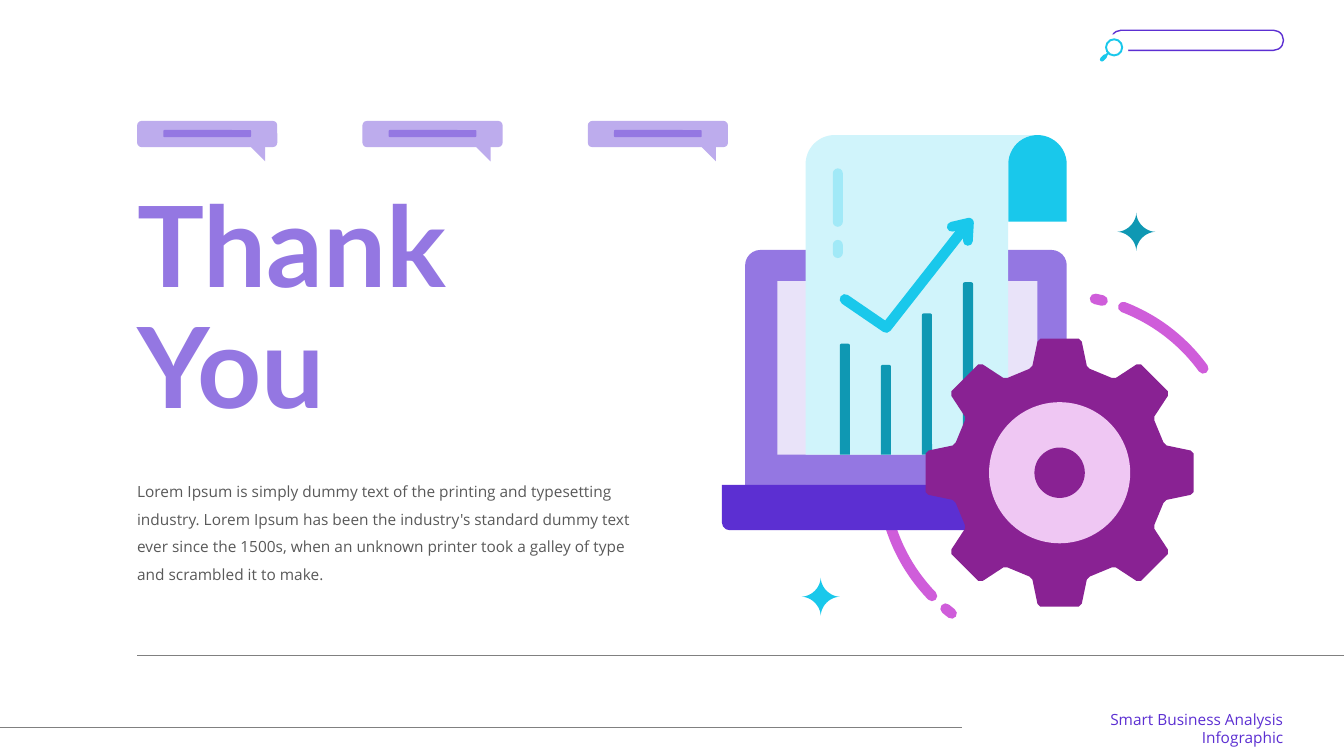
import math

import pptx
import pptx.dml.color
import pptx.enum.shapes
import pptx.enum.text
import pptx.oxml
import pptx.oxml.ns
import pptx.util

Inches = pptx.util.Inches
Pt = pptx.util.Pt
Kind = pptx.enum.shapes.MSO_SHAPE
Align = pptx.enum.text.PP_ALIGN
Anchor = pptx.enum.text.MSO_ANCHOR

VIOLET, INDIGO, LILAC, MIST = "9477E2", "5C2FD2", "BDACED", "E9E3F9"
CYAN, TEAL, ICE, AQUA = "19C8EB", "0F98B3", "D0F4FB", "A1E9F7"
PLUM, PINK, BLUSH = "892293", "CF5DDA", "EFC7F3"
GREY, RULE, WHITE = "595959", "808080", "FFFFFF"
HUB = (10.51, 4.69)


def rgb(color):
    return pptx.dml.color.RGBColor.from_string(color)


def paint(shape, fill=None, line=None, width=1):
    shape.shadow.inherit = False
    if fill:
        shape.fill.solid()
        shape.fill.fore_color.rgb = rgb(fill)
    else:
        shape.fill.background()
    if line:
        shape.line.color.rgb = rgb(line)
        shape.line.width = Pt(width)
    else:
        shape.line.fill.background()


def block(slide, kind, box, fill=None, adj=(), turn=0, line=None):
    shape = slide.shapes.add_shape(kind, *[Inches(v) for v in box])
    for i, value in enumerate(adj):
        shape.adjustments[i] = value
    shape.rotation = turn
    paint(shape, fill, line)
    return shape


def disc(slide, center, radius, fill):
    x, y = center
    block(slide, Kind.OVAL, (x - radius, y - radius, 2 * radius, 2 * radius), fill)


def outline(slide, points, close):
    spots = [(Inches(x), Inches(y)) for x, y in points]
    pen = slide.shapes.build_freeform(*spots[0])
    pen.add_line_segments(spots[1:], close=close)
    return pen.convert_to_shape()


def solid(slide, points, fill):
    paint(outline(slide, points, True), fill)


def stroke(slide, points, color, width):
    """Open line with round ends and corners."""
    shape = outline(slide, points, False)
    paint(shape, None, color, width)
    ln = shape.line._get_or_add_ln()
    ln.set("cap", "rnd")
    ln.append(pptx.oxml.parse_xml("<a:round %s/>" % pptx.oxml.ns.nsdecls("a")))


def arc(center, radius, start, end, steps=24):
    """Points on a circle; angles in degrees, clockwise from the right."""
    angles = [math.radians(start + (end - start) * i / steps) for i in range(steps + 1)]
    return [(center[0] + radius * math.cos(a), center[1] + radius * math.sin(a))
            for a in angles]


def rule(slide, left, right, y):
    line = slide.shapes.add_connector(
        pptx.enum.shapes.MSO_CONNECTOR.STRAIGHT,
        Inches(left), Inches(y), Inches(right), Inches(y))
    line.line.color.rgb = rgb(RULE)
    line.line.width = Pt(0.75)
    line._element.spPr.append(
        pptx.oxml.parse_xml("<a:effectLst %s/>" % pptx.oxml.ns.nsdecls("a")))


def write(shape, text, size, font, color, bold=False, align=Align.LEFT,
          anchor=Anchor.TOP, space=1.0):
    frame = shape.text_frame
    frame.text = text
    frame.word_wrap = True
    frame.auto_size = pptx.enum.text.MSO_AUTO_SIZE.NONE
    frame.vertical_anchor = anchor
    frame.margin_left = frame.margin_right = 0
    frame.margin_top = frame.margin_bottom = 0
    par = frame.paragraphs[0]
    par.alignment = align
    par.line_spacing = space
    par.space_before = Pt(0)
    style = par.runs[0].font
    style.size, style.name, style.bold = Pt(size), font, bold
    style.color.rgb = rgb(color)


def label(slide, box, *args, **style):
    write(slide.shapes.add_textbox(*[Inches(v) for v in box]), *args, **style)


def heading(slide):
    title = slide.shapes.title
    title.left, title.top = Inches(1.36), Inches(1.89)
    title.width, title.height = Inches(4.98), Inches(2.42)
    write(title, "Thank You", 80, "Lato", VIOLET, bold=True, space=0.9)


def bubble(slide, left):
    block(slide, Kind.ROUNDED_RECTANGLE, (left, 1.2, 1.39, 0.26), LILAC, [0.167])
    block(slide, Kind.ROUNDED_RECTANGLE, (left + 0.26, 1.29, 0.87, 0.07), VIOLET, [0.167])
    block(slide, Kind.RIGHT_TRIANGLE, (left + 1.13, 1.46, 0.14, 0.14), LILAC, turn=180)


def sparkle(slide, center, color, radius=0.19):
    def bend(value):
        return math.copysign(abs(value) ** 3.4, value) * radius
    points = [(center[0] + bend(x), center[1] + bend(y))
              for x, y in arc((0, 0), 1, 0, 360, 64)]
    solid(slide, points, color)


def laptop(slide):
    tab = Kind.ROUND_2_SAME_RECTANGLE
    block(slide, tab, (7.39, 2.48, 3.19, 2.34), VIOLET, [0.065, 0])
    block(slide, Kind.RECTANGLE, (7.71, 2.79, 2.58, 1.72), MIST)
    # Paper with its curled edge
    paper = (arc((8.28, 1.63), 0.29, 180, 270) + arc((10.29, 1.63), 0.29, 270, 180)
             + [(10, 4.51), (7.99, 4.51)])
    solid(slide, paper, ICE)
    block(slide, tab, (7.16, 4.81, 3.43, 0.45), INDIGO, [0.167, 0], turn=180)
    block(slide, tab, (10, 1.34, 0.58, 0.86), CYAN, [0.5, 0])
    # Bars and trend arrow
    for i, height in enumerate((1.1, 0.89, 1.4, 1.71)):
        block(slide, tab, (8.33 + 0.407 * i, 4.51 - height, 0.1, height), TEAL, [0.167, 0])
    stroke(slide, [(8.38, 2.97), (8.79, 3.25), (9.59, 2.23)], CYAN, 7.5)
    head = [(9.44, 2.25), (9.61, 2.21), (9.6, 2.39)]
    solid(slide, head, CYAN)
    stroke(slide, head, CYAN, 7)
    # Shine marks
    for top, height in ((1.67, 0.58), (2.38, 0.18)):
        block(slide, Kind.ROUNDED_RECTANGLE, (8.26, top, 0.1, height), AQUA, [0.5])


def gear(slide):
    half = [(0.19, 1.33), (0.22, 1.3), (0.27, 1.06), (0.3, 1.03)]
    tooth = [(-u, r) for u, r in reversed(half)] + half
    points = []
    for i in range(8):
        c, s = math.cos(i * math.pi / 4), math.sin(i * math.pi / 4)
        points += [(HUB[0] + u * c + r * s, HUB[1] + u * s - r * c) for u, r in tooth]
    solid(slide, points, PLUM)
    disc(slide, HUB, 0.7, BLUSH)
    disc(slide, HUB, 0.25, PLUM)


def search(slide):
    block(slide, Kind.ROUNDED_RECTANGLE, (11.02, 0.3, 1.71, 0.2), None, [0.5], line=INDIGO)
    disc(slide, (11.03, 0.5), 0.16, WHITE)
    block(slide, Kind.DONUT, (10.96, 0.38, 0.18, 0.18), CYAN, [0.11])
    stroke(slide, [(10.99, 0.53), (10.96, 0.56)], CYAN, 1.5)
    stroke(slide, [(10.96, 0.56), (10.93, 0.59)], CYAN, 3)


def main():
    deck = pptx.Presentation()
    deck.slide_width, deck.slide_height = Inches(13.33), Inches(7.5)
    slide = deck.slides.add_slide(deck.slide_layouts[5])

    # Wording
    label(slide, (1.36, 4.69, 4.98, 1.08),
          "Lorem Ipsum is simply dummy text of the printing and typesetting industry. "
          "Lorem Ipsum has been the industry's standard dummy text ever since the 1500s, "
          "when an unknown printer took a galley of type and scrambled it to make.",
          11, "Open Sans", GREY, space=1.5)
    heading(slide)

    # Illustration
    for start, end in ((-69, -36), (162, 136), (-78.5, -76), (130, 127.5)):
        stroke(slide, arc(HUB, 1.76, start, end), PINK, 7.5)
    laptop(slide)
    sparkle(slide, (11.27, 2.3), TEAL)
    sparkle(slide, (8.14, 5.92), CYAN)
    gear(slide)

    # Frame of the slide
    label(slide, (10.17, 7.13, 2.56, 0.19), "Smart Business Analysis Infographic",
          11, "Open Sans", INDIGO, align=Align.RIGHT, anchor=Anchor.MIDDLE)
    search(slide)
    rule(slide, 0, 9.54, 7.22)
    for i in range(3):
        bubble(slide, 1.36 + 2.235 * i)
    rule(slide, 1.36, 13.33, 6.5)

    deck.save("out.pptx")


if __name__ == "__main__":
    main()
